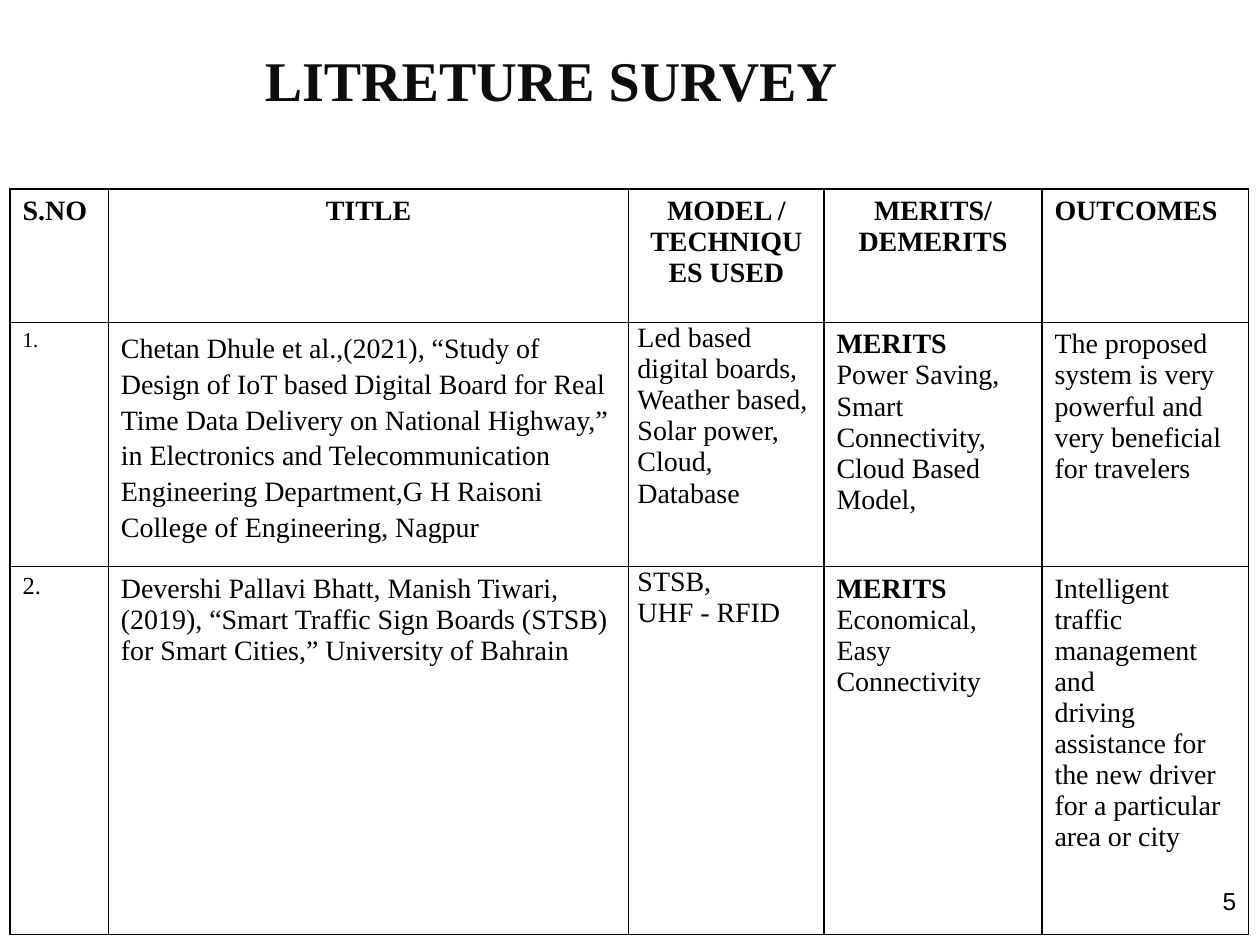
from dataclasses import dataclass

from lxml.etree import SubElement
from pptx import Presentation
from pptx.dml.color import RGBColor
from pptx.enum.text import MSO_ANCHOR, PP_ALIGN
from pptx.oxml.ns import qn
from pptx.slide import Slide
from pptx.table import _Cell
from pptx.text.text import TextFrame
from pptx.util import Inches, Pt

BLACK = RGBColor(0x00, 0x00, 0x00)
TITLE_INK = RGBColor(0x0D, 0x0D, 0x0D)
SERIF = "Times New Roman"
SANS = "Arial"

COLUMN_WIDTHS = (0.78, 4.13, 1.55, 1.73, 1.64)
ROW_HEIGHTS = (1.06, 1.91, 2.92)
WIDE_MARGINS = (0.1, 0.05)
TIGHT_MARGINS = (0.07, 0)


@dataclass(frozen=True)
class Entry:
    """One table cell; each string in lines is a paragraph."""
    lines: tuple[str, ...]
    size: int = 16
    align: PP_ALIGN = PP_ALIGN.LEFT
    bold_lines: int = 0
    spacing: float | None = None
    margins: tuple[float, float] = WIDE_MARGINS


def heading(text: str, align: PP_ALIGN = PP_ALIGN.CENTER) -> Entry:
    return Entry((text,), align=align, bold_lines=1)


def merits(*lines: str) -> Entry:
    return Entry(("MERITS", *lines), bold_lines=1)


def techniques(*lines: str) -> Entry:
    return Entry(lines, margins=TIGHT_MARGINS)


SURVEY = (
    (
        heading("S.NO", PP_ALIGN.LEFT),
        heading("TITLE"),
        heading("MODEL / TECHNIQUES USED"),
        heading("MERITS/ DEMERITS"),
        heading("OUTCOMES", PP_ALIGN.LEFT),
    ),
    (
        Entry(("1.",), size=12),
        Entry(("Chetan Dhule et al.,(2021), “Study of Design of IoT based Digital "
               "Board for Real Time Data Delivery on National Highway,” in "
               "Electronics and Telecommunication Engineering Department,"
               "G H Raisoni College of Engineering, Nagpur",), spacing=1.15),
        techniques("Led based digital boards, Weather based, Solar power, "
                   "Cloud, Database"),
        merits("Power Saving,", "Smart Connectivity,", "Cloud Based Model,"),
        Entry(("The proposed system is very powerful and very beneficial "
               "for travelers",)),
    ),
    (
        Entry(("2.",), size=14),
        Entry(("Devershi Pallavi Bhatt, Manish Tiwari, (2019), “Smart Traffic Sign "
               "Boards (STSB) for Smart Cities,” University of Bahrain",)),
        techniques("STSB,", "UHF - RFID"),
        merits("Economical,", "Easy Connectivity"),
        Entry(("Intelligent traffic management and",
               "driving assistance for the new driver for a particular",
               "area or city")),
    ),
)


def write_text(frame: TextFrame, lines: tuple[str, ...], *, size: int,
               font: str = SERIF, color: RGBColor = BLACK, bold_lines: int = 0,
               align: PP_ALIGN = PP_ALIGN.LEFT,
               spacing: float | None = None) -> None:
    """Write paragraphs, the first bold_lines of them in bold."""
    frame.word_wrap = True
    for index, line in enumerate(lines):
        paragraph = frame.add_paragraph() if index else frame.paragraphs[0]
        paragraph.alignment = align
        if spacing:
            paragraph.line_spacing = spacing
        run = paragraph.add_run()
        run.text = line
        run.font.name = font
        run.font.size = Pt(size)
        run.font.bold = index < bold_lines
        run.font.color.rgb = color


def add_text_box(slide: Slide, left: float, top: float,
                 width: float, height: float) -> TextFrame:
    box = slide.shapes.add_textbox(Inches(left), Inches(top),
                                   Inches(width), Inches(height))
    return box.text_frame


def add_borders(cell: _Cell) -> None:
    """Outline a cell; borders must come before its fill in the XML."""
    properties = cell._tc.get_or_add_tcPr()
    for position, side in enumerate(("a:lnL", "a:lnR", "a:lnT", "a:lnB")):
        line = SubElement(properties, qn(side), w=str(Pt(1)))
        fill = SubElement(line, qn("a:solidFill"))
        SubElement(fill, qn("a:srgbClr"), val=str(BLACK))
        properties.insert(position, line)


def fill_cell(cell: _Cell, entry: Entry) -> None:
    cell.fill.background()
    add_borders(cell)
    horizontal, vertical = entry.margins
    cell.margin_left = cell.margin_right = Inches(horizontal)
    cell.margin_top = cell.margin_bottom = Inches(vertical)
    write_text(cell.text_frame, entry.lines, size=entry.size, align=entry.align,
               bold_lines=entry.bold_lines, spacing=entry.spacing)


def add_survey_table(slide: Slide) -> None:
    table = slide.shapes.add_table(
        len(ROW_HEIGHTS), len(COLUMN_WIDTHS), Inches(0.08), Inches(1.5),
        Inches(sum(COLUMN_WIDTHS)), Inches(sum(ROW_HEIGHTS))).table
    table.first_row = table.horz_banding = False
    for column, width in zip(table.columns, COLUMN_WIDTHS):
        column.width = Inches(width)
    for row, height, entries in zip(table.rows, ROW_HEIGHTS, SURVEY):
        row.height = Inches(height)
        for cell, entry in zip(row.cells, entries):
            fill_cell(cell, entry)


def main() -> None:
    presentation = Presentation()
    presentation.slide_width = Inches(10)
    presentation.slide_height = Inches(7.5)
    slide = presentation.slides.add_slide(presentation.slide_layouts[6])

    # Title
    title = add_text_box(slide, 0, 0, 8.75, 1.25)
    title.vertical_anchor = MSO_ANCHOR.MIDDLE
    write_text(title, ("LITRETURE SURVEY",), size=32, color=TITLE_INK,
               bold_lines=1, align=PP_ALIGN.CENTER)

    # Page number
    page_number = add_text_box(slide, 7.58, 6.98, 2.33, 0.52)
    write_text(page_number, ("5",), size=14, font=SANS, align=PP_ALIGN.RIGHT)

    # Survey table
    add_survey_table(slide)

    presentation.save("out.pptx")


if __name__ == "__main__":
    main()
